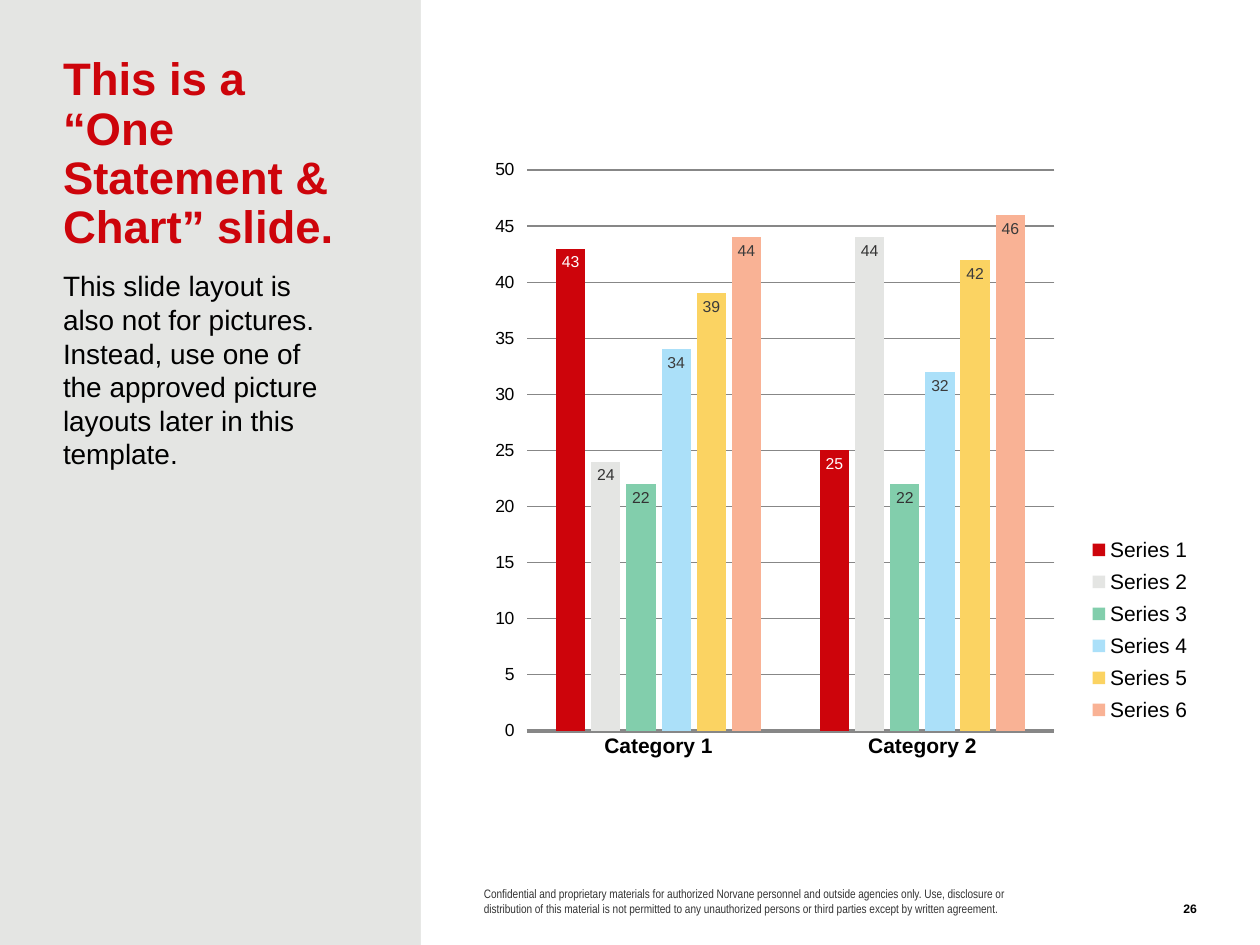
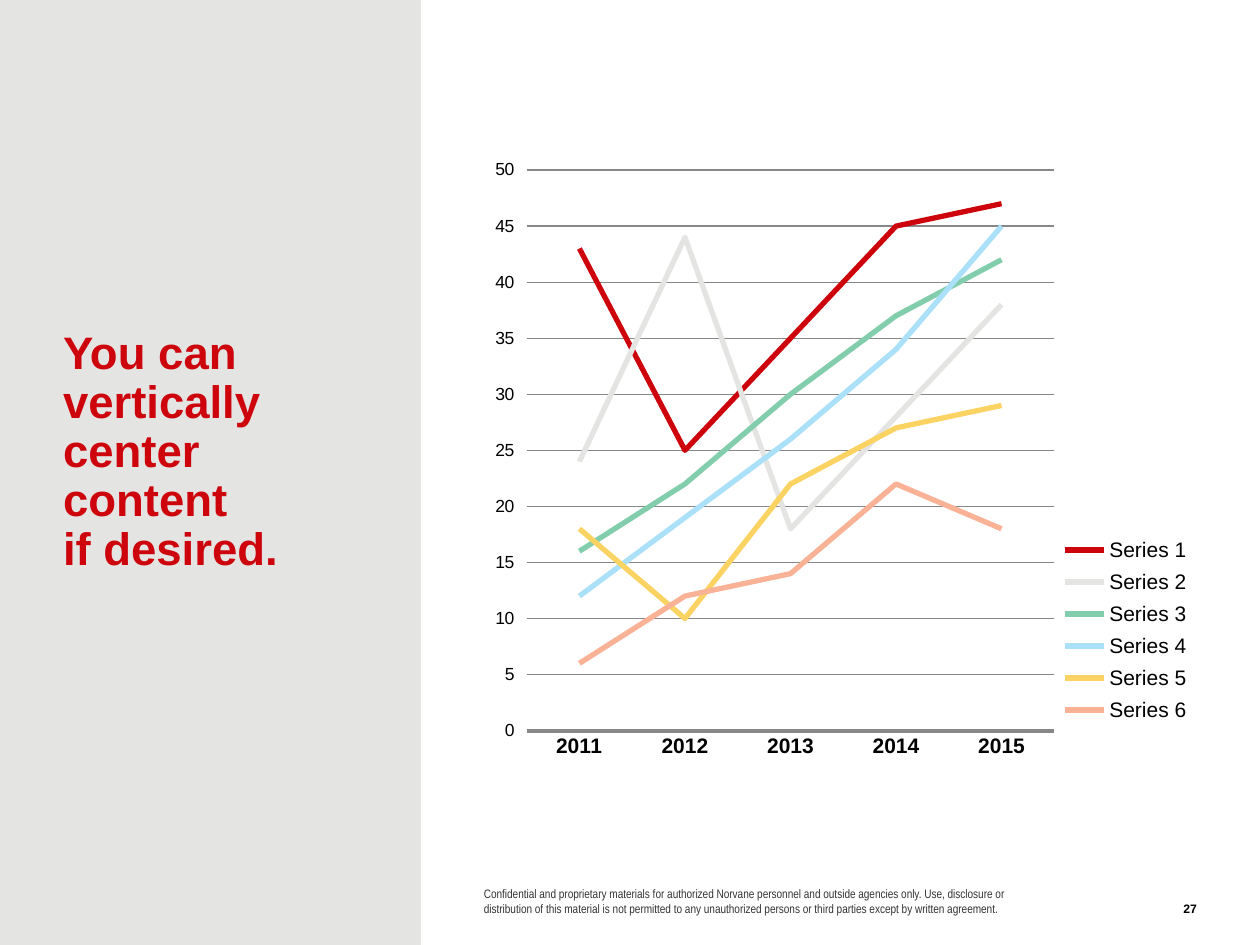
import pptx
import pptx.chart.data
import pptx.dml.color
import pptx.enum.chart
import pptx.enum.shapes
import pptx.enum.text
import pptx.oxml
import pptx.oxml.ns
import pptx.util
from pptx.util import Inches

RED, BLACK, WHITE, GRAY = "CD040B", "000000", "FFFFFF", "333333"
PANEL_GRAY, AXIS_GRAY = "E4E5E3", "878787"
SERIES_COLORS = [RED, PANEL_GRAY, "82CEAC", "ABE0F9", "FBD362", "F9B295"]
LABEL_COLORS = [WHITE, GRAY, GRAY, "3B3B3B", "3B3B3B", "3B3B3B"]
FONT = "Arial"
CHART_LEFT = 3.84
HEADLINE = dict(size=26, color=RED, bold=True, before=9, spacing=0.9)
STATEMENT = dict(size=16, before=9, level=1)
NOTICE = ("Confidential and proprietary materials for authorized Norvane personnel "
          "and outside agencies only. Use, disclosure or distribution of this material "
          "is not permitted to any unauthorized persons or third parties except by "
          "written agreement.")

CHART_TYPE = pptx.enum.chart.XL_CHART_TYPE
TICK = pptx.enum.chart.XL_TICK_MARK
ANCHOR = pptx.enum.text.MSO_ANCHOR
ALIGN = pptx.enum.text.PP_ALIGN


def rgb(value):
    return pptx.dml.color.RGBColor.from_string(value)


def set_font(font, size, color=BLACK, bold=False, name=FONT):
    font.size, font.bold, font.name = pptx.util.Pt(size), bold, name
    font.color.rgb = rgb(color)


def set_line(line, color, width):
    line.color.rgb = rgb(color)
    line.width = pptx.util.Pt(width)


def write(p, text, size, color=BLACK, bold=False, name=FONT, align=None,
          before=0, spacing=1.0, level=0):
    """Fill a paragraph; each newline becomes a line break."""
    p.level, p.alignment = level, align
    p.space_before, p.line_spacing = pptx.util.Pt(before), spacing
    for i, line in enumerate(text.split("\n")):
        if i:
            p.add_line_break()
        r = p.add_run()
        r.text = line
        set_font(r.font, size, color, bold, name)


def prepare_frame(tf, anchor, right=0):
    tf.word_wrap = True
    tf.auto_size = pptx.enum.text.MSO_AUTO_SIZE.NONE
    tf.vertical_anchor = anchor
    tf.margin_left = tf.margin_top = tf.margin_bottom = 0
    tf.margin_right = Inches(right)


def add_footer_text(slide, left, width, text, right=0, **fmt):
    sp = slide.shapes.add_textbox(Inches(left), Inches(7.02), Inches(width), Inches(0.25))
    prepare_frame(sp.text_frame, ANCHOR.BOTTOM, right)
    write(sp.text_frame.paragraphs[0], text, 7, **fmt)
    return sp


def decorate_layout(layout, slide):
    """Move the white content area and the notice to the shared layout."""
    fill = layout.slide_master.background.fill
    fill.solid()
    fill.fore_color.rgb = rgb(PANEL_GRAY)
    area = slide.shapes.add_shape(pptx.enum.shapes.MSO_SHAPE.RECTANGLE,
                                  Inches(3.34), 0, Inches(6.66), Inches(7.5))
    area.shadow.inherit = False
    area.fill.solid()
    area.fill.fore_color.rgb = rgb(WHITE)
    area.line.fill.background()
    notice = add_footer_text(slide, CHART_LEFT, 4.42, NOTICE, right=0.2,
                             color=GRAY, name="Arial Narrow")
    for i, sp in enumerate((area, notice)):
        layout.shapes.element.insert(2 + i, sp.element)


def add_statement(slide, paragraphs, anchor=ANCHOR.TOP):
    """Write the side panel text in the body placeholder."""
    title = slide.shapes.title.element
    title.getparent().remove(title)
    body = slide.placeholders[1]
    body.left, body.top = Inches(0.5), Inches(0.45)
    body.width, body.height = Inches(2.33), Inches(6.29)
    tf = body.text_frame
    prepare_frame(tf, anchor)
    for i, (text, fmt) in enumerate(paragraphs):
        p = tf.add_paragraph() if i else tf.paragraphs[0]
        write(p, text, **fmt)
        pPr = p._p.get_or_add_pPr()
        pPr.set("marL", "0")
        pPr.set("indent", "0")
        pPr.append(pptx.oxml.parse_xml(
            f'<a:buNone {pptx.oxml.ns.nsdecls("a")}/>'))


def manual_layout(parent, index, x, y, w, h, inner=False):
    """Place a chart part by fractions of the chart's size."""
    for old in parent.findall(pptx.oxml.ns.qn("c:layout")):
        parent.remove(old)
    target = '<c:layoutTarget val="inner"/>' if inner else ""
    parent.insert(index, pptx.oxml.parse_xml(
        f'<c:layout {pptx.oxml.ns.nsdecls("c")}><c:manualLayout>{target}'
        '<c:xMode val="edge"/><c:yMode val="edge"/>'
        f'<c:x val="{x}"/><c:y val="{y}"/><c:w val="{w}"/><c:h val="{h}"/>'
        '</c:manualLayout></c:layout>'))


def add_series_chart(slide, kind, categories, rows, legend_x):
    data = pptx.chart.data.CategoryChartData()
    data.categories = categories
    for i, row in enumerate(rows, 1):
        data.add_series(f"Series {i}", row)
    chart = slide.shapes.add_chart(kind, Inches(CHART_LEFT), Inches(1.25),
                                   Inches(5.66), Inches(5), data).chart
    chart.has_title = False
    set_font(chart.font, 12)

    # Axes
    cat, val = chart.category_axis, chart.value_axis
    cat.major_tick_mark = cat.minor_tick_mark = val.minor_tick_mark = TICK.NONE
    set_font(cat.tick_labels.font, 12, bold=True)
    set_line(cat.format.line, AXIS_GRAY, 2.25)
    val.major_tick_mark = TICK.OUTSIDE
    val.minimum_scale, val.maximum_scale, val.major_unit = 0, 50, 5
    set_font(val.tick_labels.font, 10)
    val.format.line.fill.background()
    val.has_major_gridlines = True
    set_line(val.major_gridlines.format.line, AXIS_GRAY, 0.75)

    # Legend and plot area
    chart.has_legend = True
    legend = chart.legend
    legend.position = pptx.enum.chart.XL_LEGEND_POSITION.RIGHT
    legend.include_in_layout = False
    set_font(legend.font, 12)
    manual_layout(legend._element, 1, legend_x, 0.59, 1 - legend_x, 0.32)
    plot_area = chart._chartSpace.chart.plotArea
    manual_layout(plot_area, 0, 0.06, 0.02, 0.74, 0.89, inner=True)
    chart.plots[0].vary_by_categories = False
    return chart


def style_columns(chart):
    plot = chart.plots[0]
    plot.gap_width, plot.overlap = 200, -20
    for series, color, label_color in zip(plot.series, SERIES_COLORS, LABEL_COLORS):
        series.format.fill.solid()
        series.format.fill.fore_color.rgb = rgb(color)
        series.invert_if_negative = False
        labels = series.data_labels
        labels.show_value = True
        labels.position = pptx.enum.chart.XL_LABEL_POSITION.INSIDE_END
        set_font(labels.font, 9, label_color)


def style_lines(chart):
    for series, color in zip(chart.plots[0].series, SERIES_COLORS):
        series.smooth = False
        set_line(series.format.line, color, 3)


def main():
    prs = pptx.Presentation()
    prs.slide_width, prs.slide_height = Inches(10), Inches(7.5)
    layout = prs.slide_layouts[1]
    column_slide, line_slide = [prs.slides.add_slide(layout) for _ in range(2)]
    decorate_layout(layout, column_slide)

    # Statement with column chart
    add_statement(column_slide, [
        ("This is a “One Statement & Chart” slide.", HEADLINE),
        ("This slide layout is\nalso not for pictures. Instead, use one of\n"
         "the approved picture layouts later in this template.", STATEMENT)])
    style_columns(add_series_chart(
        column_slide, CHART_TYPE.COLUMN_CLUSTERED, ["Category 1", "Category 2"],
        [(43, 25), (24, 44), (22, 22), (34, 32), (39, 42), (44, 46)], legend_x=0.84))

    # Centered statement with line chart
    add_statement(line_slide, [
        ("You can vertically center\ncontent\nif desired.", HEADLINE)], ANCHOR.MIDDLE)
    style_lines(add_series_chart(
        line_slide, CHART_TYPE.LINE, [str(year) for year in range(2011, 2016)],
        [(43, 25, 35, 45, 47), (24, 44, 18, 28, 38), (16, 22, 30, 37, 42),
         (12, 19, 26, 34, 45), (18, 10, 22, 27, 29), (6, 12, 14, 22, 18)],
        legend_x=0.8))

    # Page numbers
    for number, slide in enumerate(prs.slides, 26):
        add_footer_text(slide, 9.25, 0.25, str(number), bold=True, align=ALIGN.RIGHT)
    prs.save("out.pptx")


if __name__ == "__main__":
    main()
